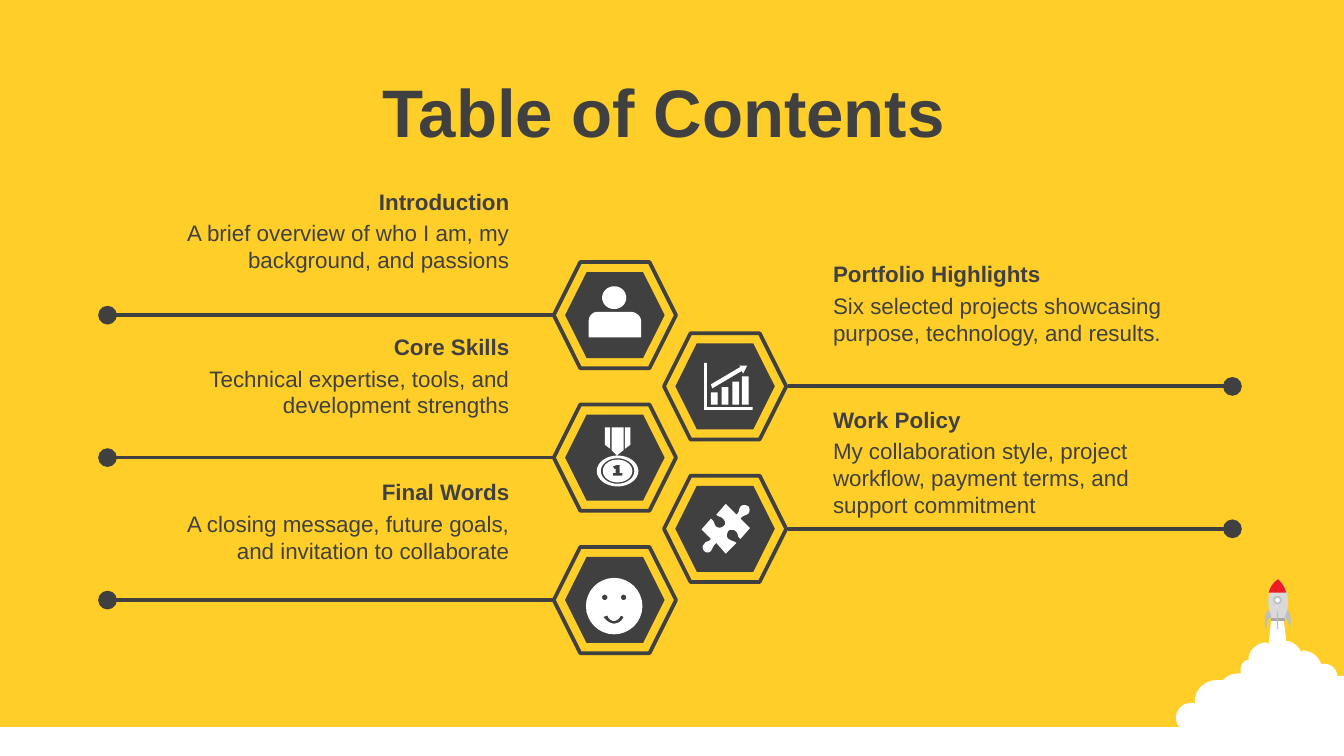
from lxml import etree
from pptx import Presentation
from pptx.dml.color import RGBColor
from pptx.enum.shapes import MSO_CONNECTOR, MSO_SHAPE
from pptx.enum.text import MSO_ANCHOR, PP_ALIGN
from pptx.oxml.ns import qn
from pptx.util import Inches, Pt

HEXAGON, OVAL, RECTANGLE = MSO_SHAPE.HEXAGON, MSO_SHAPE.OVAL, MSO_SHAPE.RECTANGLE
STRAIGHT = MSO_CONNECTOR.STRAIGHT
LEFT, CENTER, RIGHT = PP_ALIGN.LEFT, PP_ALIGN.CENTER, PP_ALIGN.RIGHT
MIDDLE = MSO_ANCHOR.MIDDLE
COLORS = {name: RGBColor.from_string(value) for name, value in {
    "yellow": "FFCE29", "dark": "404040", "white": "FFFFFF", "hull": "D9D9D9",
    "band": "A6A6A6", "fin": "BFBFBF", "nose": "ED1C24"}.items()}

prs = Presentation()
prs.slide_width, prs.slide_height = Inches(10), Inches(5.625)
slide = prs.slides.add_slide(prs.slide_layouts[6])
shapes = slide.shapes
slide.background.fill.solid()
slide.background.fill.fore_color.rgb = COLORS["yellow"]


def paint(shape, fill, line=None, width=0):
    shape.shadow.inherit = False
    shape.fill.solid()
    shape.fill.fore_color.rgb = COLORS[fill]
    if line:
        shape.line.color.rgb = COLORS[line]
        shape.line.width = Pt(width)
    else:
        shape.line.fill.background()


def draw(fill, *contours):
    """Contours hold (x, y) corners and (x1, y1, x2, y2, x, y) Bezier curves, in inches."""
    builder = None
    for start, *steps in contours:
        points, (x0, y0) = [], start
        for step in steps:
            if len(step) == 6:
                x1, y1, x2, y2, x3, y3 = step
                for t in (n / 8 for n in range(1, 9)):
                    a, b, c, d = (1 - t) ** 3, 3 * t * (1 - t) ** 2, 3 * t * t * (1 - t), t ** 3
                    points.append((Inches(a * x0 + b * x1 + c * x2 + d * x3),
                                   Inches(a * y0 + b * y1 + c * y2 + d * y3)))
            else:
                points.append((Inches(step[0]), Inches(step[1])))
            x0, y0 = step[-2:]
        x, y = Inches(start[0]), Inches(start[1])
        if builder is None:
            builder = shapes.build_freeform(x, y, scale=1.0)
        else:
            builder.move_to(x, y)
        builder.add_line_segments(points, close=True)
    paint(builder.convert_to_shape(), fill)


# Ground strip and smoke cloud
ground = shapes.add_shape(RECTANGLE, 0, Inches(5.41), Inches(10), Inches(0.24))
paint(ground, "white")
draw("white", [
    (9.46, 4.59), (9.55, 4.59), (9.57, 4.77), (9.59, 4.77),
    (9.62, 4.78, 9.65, 4.8, 9.67, 4.83), (9.68, 4.85), (9.69, 4.84),
    (9.75, 4.84, 9.81, 4.88, 9.83, 4.94), (9.84, 4.94), (9.86, 4.94),
    (9.9, 4.94, 9.94, 4.97, 9.95, 5.02), (9.95, 5.03), (10, 5.03), (10, 5.6),
    (9.98, 5.6), (9.94, 5.6, 9.9, 5.59, 9.87, 5.57), (9.86, 5.56), (9.85, 5.57),
    (9.83, 5.58, 9.81, 5.59, 9.78, 5.59), (9.75, 5.59, 9.73, 5.57, 9.71, 5.55),
    (9.69, 5.54), (9.69, 5.55), (9.67, 5.58, 9.64, 5.59, 9.6, 5.59),
    (9.57, 5.59, 9.54, 5.58, 9.52, 5.56), (9.51, 5.55), (9.49, 5.56),
    (9.45, 5.59, 9.4, 5.61, 9.34, 5.61), (9.23, 5.61, 9.17, 5.56, 9.13, 5.51),
    (9.11, 5.53, 9.07, 5.54, 9.04, 5.53), (9, 5.52, 8.94, 5.5, 8.93, 5.45),
    (8.93, 5.43), (8.92, 5.44), (8.91, 5.45, 8.89, 5.45, 8.86, 5.45),
    (8.8, 5.45, 8.75, 5.4, 8.75, 5.34), (8.75, 5.28, 8.8, 5.23, 8.86, 5.23),
    (8.88, 5.23), (8.89, 5.24), (8.89, 5.22), (8.89, 5.13, 8.96, 5.06, 9.06, 5.06),
    (9.1, 5.06), (9.11, 5.05), (9.14, 5.02, 9.18, 5.01, 9.23, 5.01),
    (9.23, 4.98), (9.23, 4.95, 9.25, 4.92, 9.28, 4.91), (9.29, 4.91), (9.29, 4.89),
    (9.3, 4.83, 9.36, 4.78, 9.42, 4.78), (9.44, 4.79)])

# Rocket
draw("hull", [(9.46, 4.62), (9.44, 4.53, 9.4, 4.4, 9.51, 4.31),
              (9.62, 4.41, 9.58, 4.54, 9.56, 4.62)])
draw("band", [(9.46, 4.6), (9.56, 4.6), (9.56, 4.62), (9.46, 4.62)])
draw("nose", [(9.51, 4.31), (9.54, 4.34, 9.56, 4.37, 9.57, 4.41), (9.44, 4.41),
              (9.45, 4.37, 9.47, 4.34, 9.51, 4.31)])
porthole = shapes.add_shape(OVAL, Inches(9.48), Inches(4.44), Inches(0.05), Inches(0.05))
paint(porthole, "white", "fin", 1)
middle_fin = shapes.add_shape(RECTANGLE, Inches(9.5), Inches(4.55), Inches(0.01), Inches(0.13))
paint(middle_fin, "fin")
draw("fin", [(9.44, 4.54), (9.46, 4.59), (9.42, 4.61, 9.43, 4.66, 9.42, 4.68),
             (9.41, 4.65, 9.4, 4.57, 9.44, 4.54)])
draw("fin", [(9.58, 4.54), (9.56, 4.59), (9.59, 4.61, 9.59, 4.66, 9.6, 4.68),
             (9.6, 4.65, 9.62, 4.57, 9.58, 4.54)])

# Sections alternate between the left and right side
sections = [
    ("Introduction", "A brief overview of who I am, my background, and passions"),
    ("Portfolio Highlights", "Six selected projects showcasing purpose, technology, and results."),
    ("Core Skills", "Technical expertise, tools, and development strengths"),
    ("Work Policy",
     "My collaboration style, project workflow, payment terms, and support commitment"),
    ("Final Words", "A closing message, future goals, and invitation to collaborate"),
]
texts = [("Table of Contents", -0.06, 0.51, 10, 0.63, 36, True, CENTER)]
for i, (heading, summary) in enumerate(sections):
    on_right = i % 2
    hex_left, hex_top = (4.94 if on_right else 4.12), 1.95 + 0.53 * i
    frame = shapes.add_shape(HEXAGON, Inches(hex_left), Inches(hex_top), Inches(0.91), Inches(0.79))
    paint(frame, "yellow", "dark", 2)
    core = shapes.add_shape(HEXAGON, Inches(hex_left + 0.085), Inches(hex_top + 0.075),
                            Inches(0.74), Inches(0.64))
    paint(core, "dark")

    start, end = (5.86, 9.17) if on_right else (4.12, 0.8)
    line_y = Inches(hex_top + 0.395)
    lead = shapes.add_connector(STRAIGHT, Inches(start), line_y, Inches(end), line_y)
    lead.line.color.rgb = COLORS["dark"]
    lead.line.width = Pt(2)
    etree.SubElement(lead.line._get_or_add_ln(), qn("a:tailEnd"), type="oval", w="lg", len="lg")
    etree.SubElement(lead._element.spPr, qn("a:effectLst"))

    text_left, align = (6.1, LEFT) if on_right else (1.06, RIGHT)
    text_top = 1.35 + 0.54 * i
    summary_height = 0.71 if len(summary) > 70 else 0.5
    texts.append((summary, text_left, text_top + 0.235, 2.83, summary_height, 12, False, align))
    texts.append((heading, text_left, text_top, 2.83, 0.3, 12, True, align))

# Title, headings and summaries
for text, left, top, width, height, size, bold, align in texts:
    box = shapes.add_textbox(Inches(left), Inches(top), Inches(width), Inches(height))
    box.text_frame.word_wrap = True
    if align == CENTER:
        box.text_frame.vertical_anchor = MIDDLE
    paragraph = box.text_frame.paragraphs[0]
    paragraph.text = text
    paragraph.alignment = align
    paragraph.font.name, paragraph.font.size = "Arial", Pt(size)
    paragraph.font.bold = bold
    paragraph.font.color.rgb = COLORS["dark"]


def ring(cx, cy, rx, ry):
    k = 0.55
    return [(cx, cy - ry),
            (cx + k * rx, cy - ry, cx + rx, cy - k * ry, cx + rx, cy),
            (cx + rx, cy + k * ry, cx + k * rx, cy + ry, cx, cy + ry),
            (cx - k * rx, cy + ry, cx - rx, cy + k * ry, cx - rx, cy),
            (cx - rx, cy - k * ry, cx - k * rx, cy - ry, cx, cy - ry)]


# Person icon
draw("white", [(4.45, 2.32), (4.69, 2.32), (4.73, 2.32, 4.77, 2.35, 4.77, 2.39),
               (4.77, 2.51), (4.38, 2.51), (4.38, 2.39), (4.38, 2.35, 4.41, 2.32, 4.45, 2.32)],
     ring(4.57, 2.215, 0.09, 0.085))

# Growth chart icon
bars = [[(x, y), (x + 0.05, y), (x + 0.05, 3.01), (x, 3.01)]
        for x, y in [(5.29, 2.92), (5.37, 2.88), (5.45, 2.84), (5.52, 2.8)]]
trend = [(5.5, 2.72), (5.56, 2.72), (5.53, 2.78), (5.52, 2.76), (5.3, 2.89), (5.29, 2.86),
         (5.51, 2.73)]
axes = [(5.24, 2.7), (5.26, 2.7), (5.26, 3.03), (5.6, 3.03), (5.6, 3.05), (5.24, 3.05)]
draw("white", *bars, trend, axes)

# Medal icon
digit = [(4.61, 3.46), (4.59, 3.46), (4.56, 3.47), (4.57, 3.49), (4.58, 3.49), (4.58, 3.52),
         (4.56, 3.52), (4.56, 3.54), (4.63, 3.54), (4.63, 3.52), (4.61, 3.52)]
ribbons = [[(4.65, 3.18), (4.69, 3.18), (4.69, 3.31), (4.65, 3.34)],
           [(4.55, 3.18), (4.64, 3.18), (4.64, 3.35), (4.59, 3.39), (4.55, 3.35)],
           [(4.5, 3.18), (4.54, 3.18), (4.54, 3.34), (4.5, 3.31)]]
discs = [ring(4.595, 3.505, rx, ry) for rx, ry in [(0.11, 0.085), (0.125, 0.095), (0.155, 0.115)]]
draw("white", digit, *discs, *ribbons)

# Puzzle icon
draw("white", [
    (5.57, 3.77), (5.58, 3.78, 5.58, 3.81, 5.57, 3.82), (5.55, 3.84, 5.53, 3.83, 5.51, 3.86),
    (5.58, 3.93), (5.51, 4.01), (5.48, 3.99, 5.5, 3.97, 5.47, 3.95),
    (5.46, 3.94, 5.43, 3.94, 5.42, 3.95), (5.41, 3.97, 5.4, 3.99, 5.42, 4.01),
    (5.45, 4.03, 5.45, 4.02, 5.48, 4.04), (5.4, 4.12), (5.33, 4.04),
    (5.3, 4.07, 5.31, 4.07, 5.29, 4.1), (5.27, 4.12, 5.25, 4.11, 5.24, 4.1),
    (5.23, 4.09, 5.22, 4.06, 5.24, 4.05), (5.25, 4.02, 5.27, 4.04, 5.29, 4.01),
    (5.22, 3.94), (5.29, 3.86), (5.32, 3.88, 5.31, 3.9, 5.33, 3.92),
    (5.35, 3.93, 5.37, 3.93, 5.39, 3.91), (5.4, 3.9, 5.4, 3.88, 5.38, 3.86),
    (5.36, 3.84, 5.35, 3.85, 5.33, 3.83), (5.4, 3.75), (5.48, 3.83),
    (5.51, 3.8, 5.49, 3.8, 5.51, 3.77), (5.53, 3.75, 5.56, 3.76, 5.57, 3.77)])

# Smiling face icon
smile = [(4.62, 4.58), (4.61, 4.6, 4.59, 4.62, 4.57, 4.62), (4.55, 4.62, 4.53, 4.61, 4.52, 4.58),
         (4.49, 4.59), (4.51, 4.62, 4.54, 4.64, 4.57, 4.64), (4.6, 4.64, 4.63, 4.62, 4.64, 4.59)]
eyes = [ring(x, 4.445, 0.02, 0.02) for x in (4.5, 4.64)]
draw("white", smile, *eyes, ring(4.57, 4.51, 0.21, 0.21))

prs.save("out.pptx")
